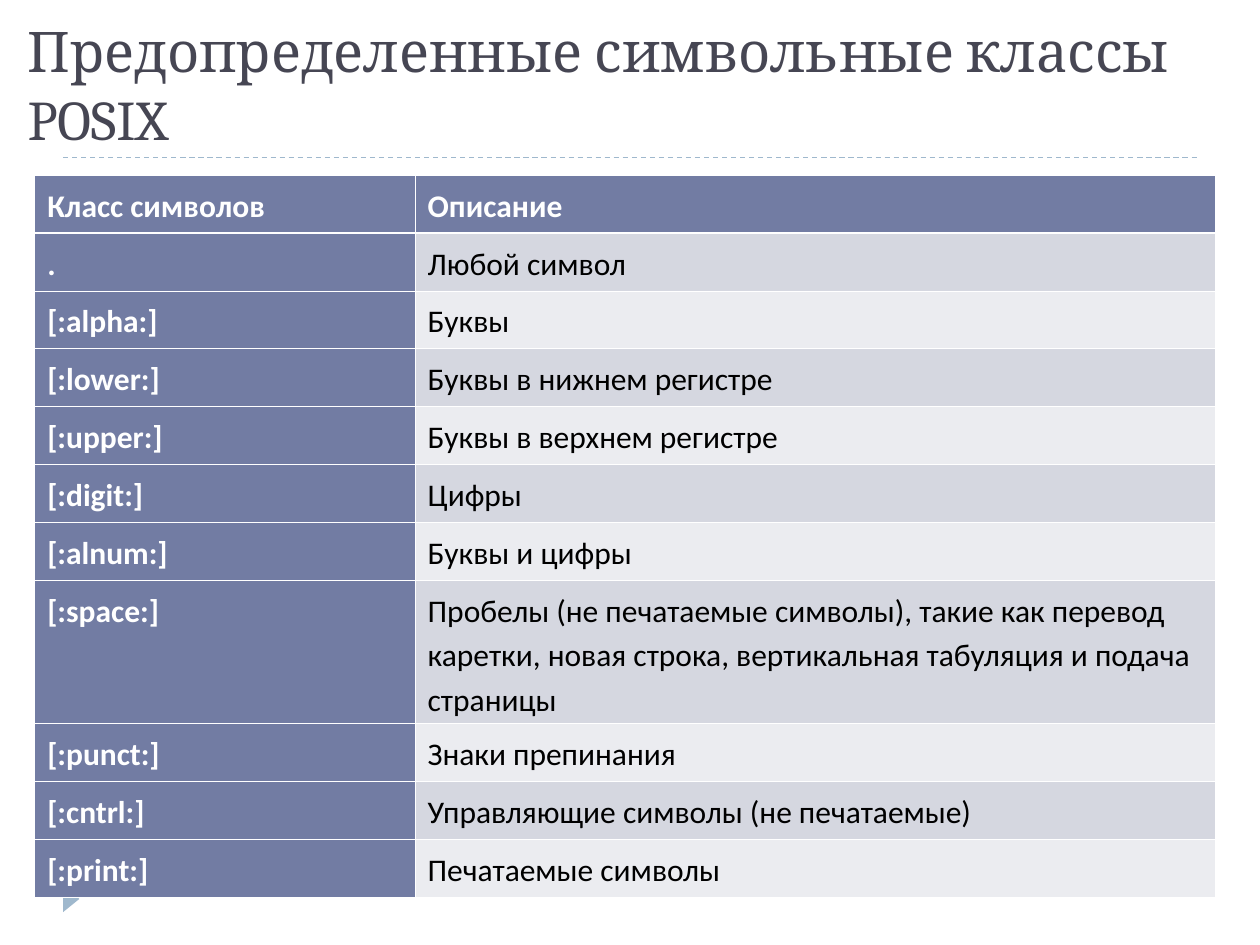
from lxml.etree import SubElement
from pptx import Presentation
from pptx.dml.color import RGBColor
from pptx.enum.dml import MSO_LINE
from pptx.enum.shapes import MSO_CONNECTOR, MSO_SHAPE
from pptx.enum.text import MSO_ANCHOR
from pptx.oxml.ns import qn
from pptx.util import Pt

WHITE = RGBColor(0xFF, 0xFF, 0xFF)
BLACK = RGBColor(0x00, 0x00, 0x00)
TITLE_GREY = RGBColor(0x46, 0x46, 0x53)
PALE_BLUE = RGBColor(0x9F, 0xB8, 0xCD)
HEADER_BLUE = RGBColor(0x72, 0x7C, 0xA3)
BANDS = (RGBColor(0xEB, 0xEC, 0xF0), RGBColor(0xD5, 0xD7, 0xE0))

TITLE = "Предопределенные символьные классы POSIX"
CLASSES = [
    ("Класс символов", "Описание"),
    (".", "Любой символ"),
    ("[:alpha:]", "Буквы"),
    ("[:lower:]", "Буквы в нижнем регистре"),
    ("[:upper:]", "Буквы в верхнем регистре"),
    ("[:digit:]", "Цифры"),
    ("[:alnum:]", "Буквы и цифры"),
    ("[:space:]", "Пробелы (не печатаемые символы), такие как перевод каретки, "
                  "новая строка, вертикальная табуляция и подача страницы"),
    ("[:punct:]", "Знаки препинания"),
    ("[:cntrl:]", "Управляющие символы (не печатаемые)"),
    ("[:print:]", "Печатаемые символы"),
]
COLUMN_WIDTHS = (217.4, 457.2)
ROW_HEIGHT, TALL_ROW_HEIGHT = 33.12, 79.2
TALL_ROW = 7
THIN, THICK = 0.45, 1.47


def write_text(frame, text, *, font, size, color, bold=False,
               line_spacing=None, space_after=None):
    paragraph = frame.paragraphs[0]
    paragraph.line_spacing = line_spacing
    if space_after is not None:
        paragraph.space_after = Pt(space_after)
    run = paragraph.add_run()
    run.text = text
    run.font.name = font
    run.font.size = Pt(size)
    run.font.bold = bold
    run.font.color.rgb = color


def add_title(slide):
    box = slide.shapes.add_textbox(Pt(8.64), Pt(12.24), Pt(697.68), Pt(77.76))
    frame = box.text_frame
    frame.word_wrap = True
    frame.vertical_anchor = MSO_ANCHOR.BOTTOM
    write_text(frame, TITLE, font="Cambria", size=32, color=TITLE_GREY)


def add_dashed_rule(slide, left, right, top):
    rule = slide.shapes.add_connector(
        MSO_CONNECTOR.STRAIGHT, Pt(left), Pt(top), Pt(right), Pt(top))
    rule.line.color.rgb = PALE_BLUE
    rule.line.width = Pt(0.75)
    rule.line.dash_style = MSO_LINE.DASH
    SubElement(rule._element.spPr, qn("a:effectLst"))


def add_corner_triangle(slide):
    triangle = slide.shapes.add_shape(
        MSO_SHAPE.ISOSCELES_TRIANGLE, Pt(33.12), Pt(509), Pt(15.12), Pt(9.36))
    triangle.rotation = 90
    triangle.shadow.inherit = False
    triangle.fill.solid()
    triangle.fill.fore_color.rgb = PALE_BLUE
    triangle.line.fill.background()


def set_borders(cell, **widths):
    properties = cell._tc.get_or_add_tcPr()
    for side in ("L", "R", "T", "B"):
        width = Pt(widths.get(side, THIN))
        line = SubElement(properties, qn(f"a:ln{side}"), w=str(width))
        fill = SubElement(line, qn("a:solidFill"))
        SubElement(fill, qn("a:srgbClr"), val=str(WHITE))


def format_cell(cell, text, row, column):
    is_heading = row == 0 or column == 0
    # The line under the header row is thicker than the others
    if row == 0:
        set_borders(cell, B=THICK)
    elif row == 1:
        set_borders(cell, T=THICK)
    else:
        set_borders(cell)
    cell.fill.solid()
    cell.fill.fore_color.rgb = HEADER_BLUE if is_heading else BANDS[row % 2]
    write_text(cell.text_frame, text, font="Calibri", size=18,
               color=WHITE if is_heading else BLACK, bold=is_heading,
               line_spacing=1.15, space_after=10)


def add_class_table(slide):
    heights = [ROW_HEIGHT] * len(CLASSES)
    heights[TALL_ROW] = TALL_ROW_HEIGHT
    table = slide.shapes.add_table(
        len(CLASSES), len(COLUMN_WIDTHS), Pt(19.8), Pt(100),
        Pt(sum(COLUMN_WIDTHS)), Pt(sum(heights))).table
    table.first_col = True
    for column, width in zip(table.columns, COLUMN_WIDTHS):
        column.width = Pt(width)
    for row, (texts, height) in enumerate(zip(CLASSES, heights)):
        table.rows[row].height = Pt(height)
        for column, text in enumerate(texts):
            format_cell(table.cell(row, column), text, row, column)


def main():
    presentation = Presentation()
    presentation.slide_width = Pt(720)
    presentation.slide_height = Pt(540)
    slide = presentation.slides.add_slide(presentation.slide_layouts[6])

    # Decoration behind the content
    add_dashed_rule(slide, 36, 684, 90)
    add_corner_triangle(slide)

    # Content
    add_title(slide)
    add_class_table(slide)

    presentation.save("out.pptx")


if __name__ == "__main__":
    main()
